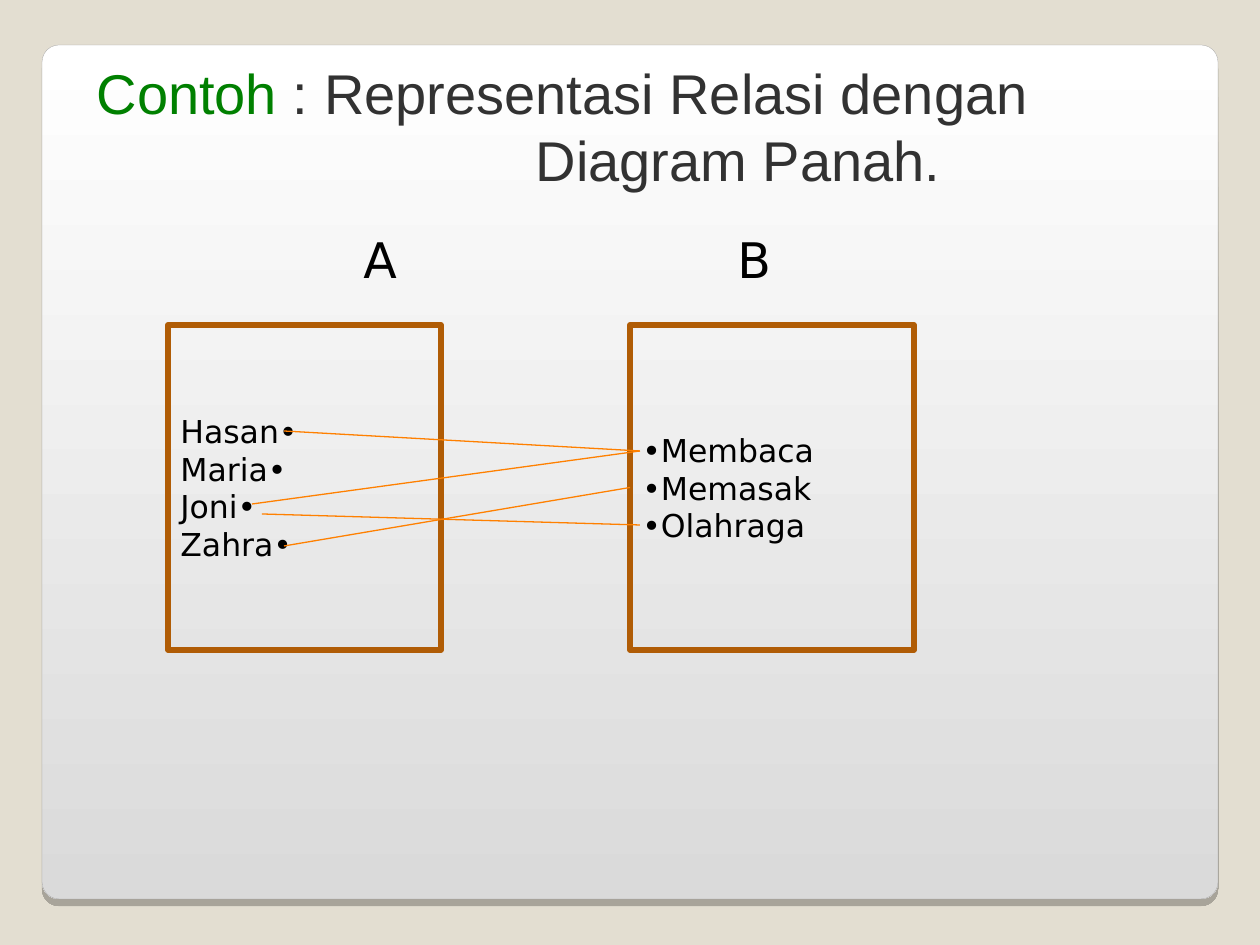
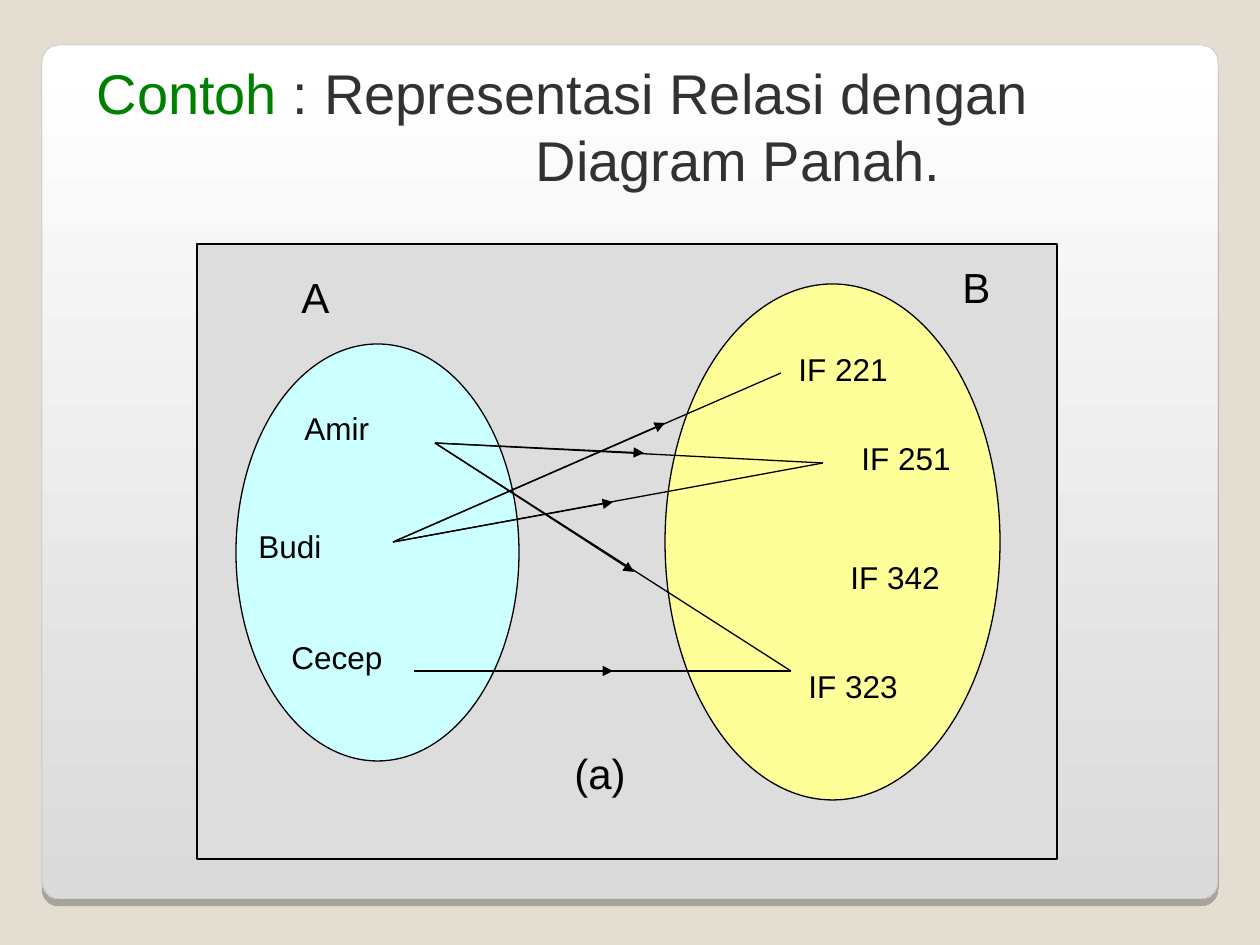
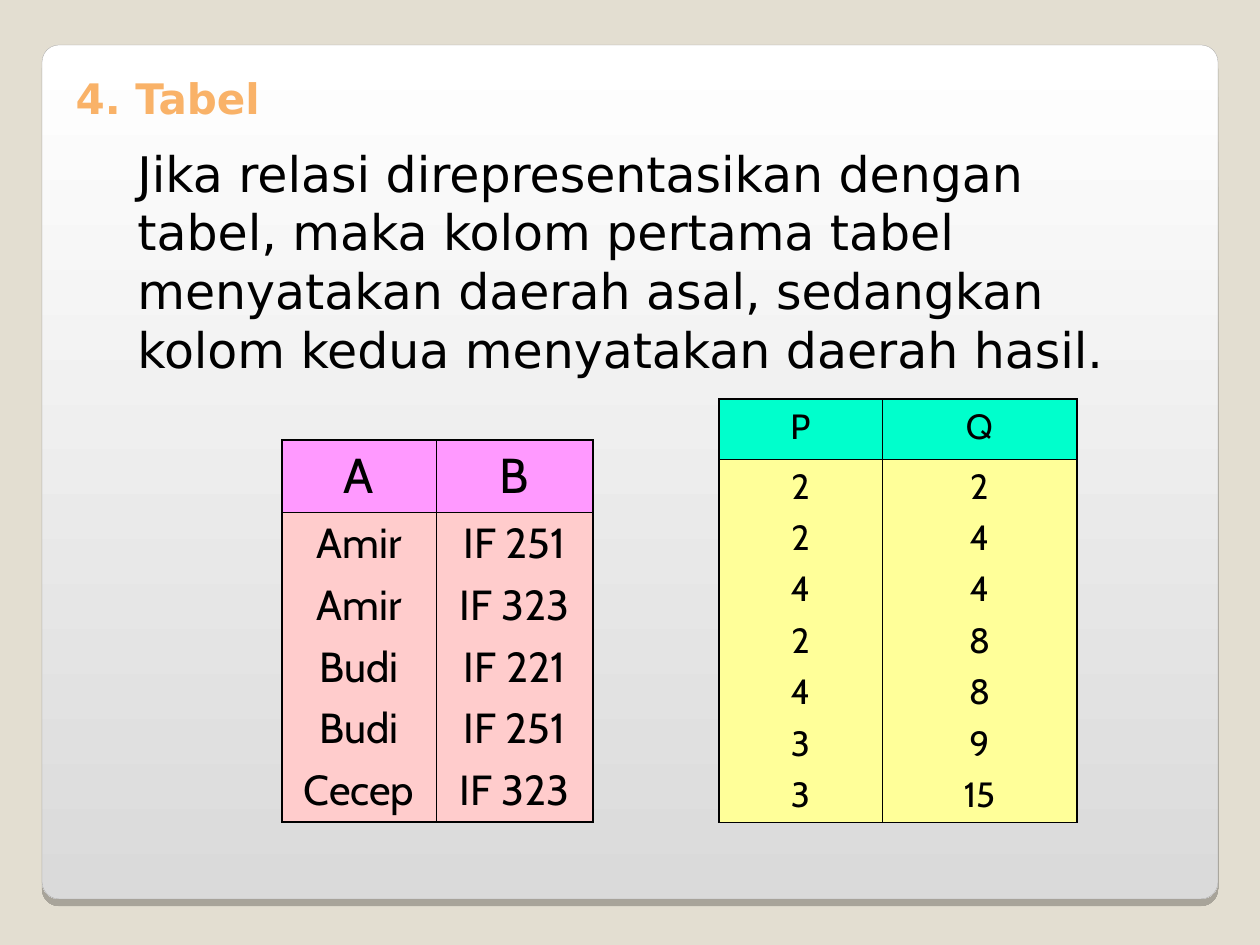
import pptx
import pptx.dml.color
import pptx.enum.dml
import pptx.enum.shapes
import pptx.enum.text
import pptx.oxml
import pptx.oxml.ns
import pptx.util
from lxml import etree

PX = 914400 / 126
BACKGROUND, BLACK, GREEN, DARK = "E3DED1", "000000", "008000", "323232"
BROWN, ORANGE, APRICOT = "B05C05", "FF8000", "F9B268"
CYAN, YELLOW, GRAY = "CCFFFF", "FFFF99", "DDDDDD"
SANS, ARIAL, CABIN = "DejaVu Sans", "Arial", "Cabin"
LINE_HEIGHT = 1.2
OUTER, INNER = 1.08, 0.45

SHAPE = pptx.enum.shapes.MSO_SHAPE
ANCHOR = pptx.enum.text.MSO_ANCHOR
ALIGN = pptx.enum.text.PP_ALIGN
Pt = pptx.util.Pt


def emu(px):
    return pptx.util.Emu(round(px * PX))


def rgb(color):
    return pptx.dml.color.RGBColor.from_string(color)


def sub(parent, tag, **attrs):
    """Append a DrawingML child element."""
    return etree.SubElement(parent, pptx.oxml.ns.qn(tag), attrs)


def write(tf, paragraphs, size=18, font=SANS, color=BLACK, bold=False,
          align=ALIGN.LEFT, anchor=ANCHOR.TOP, wrap=True, spacing=None,
          before=0, indents=()):
    """Fill a text frame; a paragraph is a string or a list of (text, color) runs."""
    tf.word_wrap = wrap
    tf.auto_size = pptx.enum.text.MSO_AUTO_SIZE.NONE
    tf.vertical_anchor = anchor
    for i, runs in enumerate(paragraphs):
        p = tf.paragraphs[0] if i == 0 else tf.add_paragraph()
        p.alignment = align
        p.space_before = Pt(before if i else 0)
        if spacing:
            p.line_spacing = Pt(size * spacing)
        if i < len(indents):
            p._p.get_or_add_pPr().set("marL", str(emu(indents[i])))
        for text, run_color in [(runs, color)] if isinstance(runs, str) else runs:
            r = p.add_run()
            r.text = text
            r.font.size, r.font.name, r.font.bold = Pt(size), font, bold
            r.font.color.rgb = rgb(run_color)


class Deck:
    def __init__(self):
        self.prs = pptx.Presentation()
        self.prs.slide_width, self.prs.slide_height = emu(1260), emu(945)
        fill = self.prs.slide_master.background.fill
        fill.solid()
        fill.fore_color.rgb = rgb(BACKGROUND)
        self.s = None

    def slide(self):
        self.s = self.prs.slides.add_slide(self.prs.slide_layouts[5])
        self.panel()

    def panel(self):
        sp = self.shape(SHAPE.ROUNDED_RECTANGLE, 42, 45, 1176, 854,
                        line="A4A3A3", weight=0.17)
        sp.adjustments[0] = 0.02
        sp.fill.gradient()
        sp.fill.gradient_angle = 270
        for stop, color in zip(sp.fill.gradient_stops, ("FFFFFF", "DADADA")):
            stop.color.rgb = rgb(color)
        effects = sp._element.spPr.find(pptx.oxml.ns.qn("a:effectLst"))
        shadow = sub(effects, "a:outerShdw", blurRad="0", dist=str(Pt(4)),
                     dir="5400000", algn="t", rotWithShape="0")
        sub(sub(shadow, "a:srgbClr", val=BLACK), "a:alpha", val="25000")
        self.s.shapes._spTree.insert(2, sp._element)

    def title(self, x, y, w, h, paragraphs, **fmt):
        sp = self.s.shapes.title
        sp.left, sp.top, sp.width, sp.height = map(emu, (x, y, w, h))
        write(sp.text_frame, paragraphs, spacing=LINE_HEIGHT, **fmt)

    def example_title(self):
        self.title(84, 42, 1131, 157,
                   [[("Contoh ", GREEN), (": Representasi Relasi dengan", DARK)],
                    [("Diagram Panah.", DARK)]],
                   size=32, font=ARIAL, anchor=ANCHOR.BOTTOM, indents=(0, 439))

    def shape(self, kind, x, y, w, h, fill=None, line=BLACK, weight=0.75):
        sp = self.s.shapes.add_shape(kind, *map(emu, (x, y, w, h)))
        sp.shadow.inherit = False
        if fill:
            sp.fill.solid()
            sp.fill.fore_color.rgb = rgb(fill)
        else:
            sp.fill.background()
        sp.line.color.rgb = rgb(line)
        sp.line.width = Pt(weight)
        return sp

    def text(self, x, y, w, h, paragraphs, **fmt):
        sp = self.s.shapes.add_textbox(*map(emu, (x, y, w, h)))
        write(sp.text_frame, paragraphs, **fmt)

    def line(self, start, end, color=BLACK, arrow=False):
        cn = self.s.shapes.add_connector(
            pptx.enum.shapes.MSO_CONNECTOR.STRAIGHT, *map(emu, (*start, *end)))
        cn.line.color.rgb = rgb(color)
        cn.line.width = Pt(0.75)
        if arrow:
            sub(cn.line._get_or_add_ln(), "a:tailEnd", type="triangle")
        sub(cn._element.spPr, "a:effectLst")
        return cn

    def table(self, x, y, widths, heights, head, columns, fills, sizes, before):
        """Draw a header row above one row that stacks each column's values."""
        frame = self.s.shapes.add_table(
            2, len(widths), *map(emu, (x, y, sum(widths), sum(heights))))
        table = frame.table
        table.first_row = table.horz_banding = False
        for col, w in zip(table.columns, widths):
            col.width = emu(w)
        rows = ([[name] for name in head], columns)
        for i, row in enumerate(rows):
            table.rows[i].height = emu(heights[i])
            for j, values in enumerate(row):
                cell = table.cell(i, j)
                cell.fill.solid()
                cell.fill.fore_color.rgb = rgb(fills[i])
                write(cell.text_frame, values, size=sizes[i], font=CABIN,
                      align=ALIGN.CENTER, before=before)
                self.borders(cell, L=j == 0, R=j == len(widths) - 1,
                             T=i == 0, B=i == 1)

    def borders(self, cell, **is_outer):
        tcPr = cell._tc.get_or_add_tcPr()
        for i, (side, outer) in enumerate(is_outer.items()):
            ln = sub(tcPr, f"a:ln{side}", w=str(Pt(OUTER if outer else INNER)))
            sub(sub(ln, "a:solidFill"), "a:srgbClr", val=BLACK)
            tcPr.insert(i, ln)


def hobby_slide(deck):
    deck.slide()
    deck.example_title()
    for name, x in (("A", 351), ("B", 725)):
        deck.text(x, 223, 70, 70, [name], size=28, spacing=LINE_HEIGHT)
    boxes = []
    for x, w, items in ((168, 273, ["Hasan•", "Maria•", "Joni•", "Zahra•"]),
                        (630, 284, ["•Membaca", "•Memasak", "•Olahraga"])):
        sp = deck.shape(SHAPE.RECTANGLE, x, 325, w, 325, line=BROWN, weight=3.34)
        write(sp.text_frame, items, anchor=ANCHOR.MIDDLE, spacing=LINE_HEIGHT)
        boxes.append(sp)
    for start, end in (((284, 431), (640, 451)), ((252, 504), (640, 451)),
                       ((262, 514), (640, 525))):
        deck.line(start, end, ORANGE)
    deck.line((284, 546), (630, 488), ORANGE).end_connect(boxes[1], 1)


def course_slide(deck):
    deck.slide()
    deck.example_title()
    deck.shape(SHAPE.RECTANGLE, 197, 244, 860, 615, GRAY)
    deck.shape(SHAPE.OVAL, 236, 344, 283, 417, CYAN)
    deck.shape(SHAPE.OVAL, 665, 284, 335, 516, YELLOW)
    for name, x, y, w in (("Amir", 292, 403, 98), ("Budi", 246, 521, 97),
                          ("Cecep", 279, 632, 125), ("IF 221", 786, 344, 115),
                          ("IF 251", 849, 433, 115), ("IF 342", 838, 552, 115),
                          ("IF 323", 796, 661, 115)):
        deck.text(x, y, w, 50, [name], font=ARIAL, wrap=False)
    for name, x, y, w in (("A", 289, 265, 53), ("B", 950, 255, 53),
                          ("(a)", 562, 741, 77)):
        deck.text(x, y, w, 63, [name], size=24, font=ARIAL, wrap=False)
    amir, budi, cecep = (435, 443), (393, 542), (414, 671)
    if221, if251, if323 = (781, 373), (823, 463), (791, 671)
    for student, course, arrow_tip in (
            (budi, if251, (613, 502)), (amir, if251, (644, 453)),
            (budi, if221, (665, 423)), (amir, if323, (634, 572)),
            (cecep, if323, (613, 671))):
        deck.line(student, course)
        deck.line(student, arrow_tip, arrow=True)


def table_slide(deck):
    deck.slide()
    deck.title(63, 66, 1134, 62, ["4. Tabel"], size=24, color=APRICOT, bold=True)
    deck.text(125, 137, 1063, 266,
              ["Jika relasi direpresentasikan dengan tabel, maka kolom pertama "
               "tabel menyatakan daerah asal, sedangkan kolom kedua menyatakan "
               "daerah hasil."], size=28, spacing=LINE_HEIGHT)
    deck.table(282, 440, (154, 157), (72, 307), "AB",
               (["Amir", "Amir", "Budi", "Budi", "Cecep"],
                ["IF 251", "IF 323", "IF 221", "IF 251", "IF 323"]),
               ("FF99FF", "FFCCCC"), sizes=(28, 24), before=6)
    deck.table(719, 399, (163, 195), (60, 359), "PQ",
               (["2", "2", "4", "2", "4", "3", "3"],
                ["2", "4", "4", "8", "8", "9", "15"]),
               ("00FFCC", YELLOW), sizes=(20, 20), before=5)


def main():
    deck = Deck()
    hobby_slide(deck)
    course_slide(deck)
    table_slide(deck)
    deck.prs.save("out.pptx")


if __name__ == "__main__":
    main()
